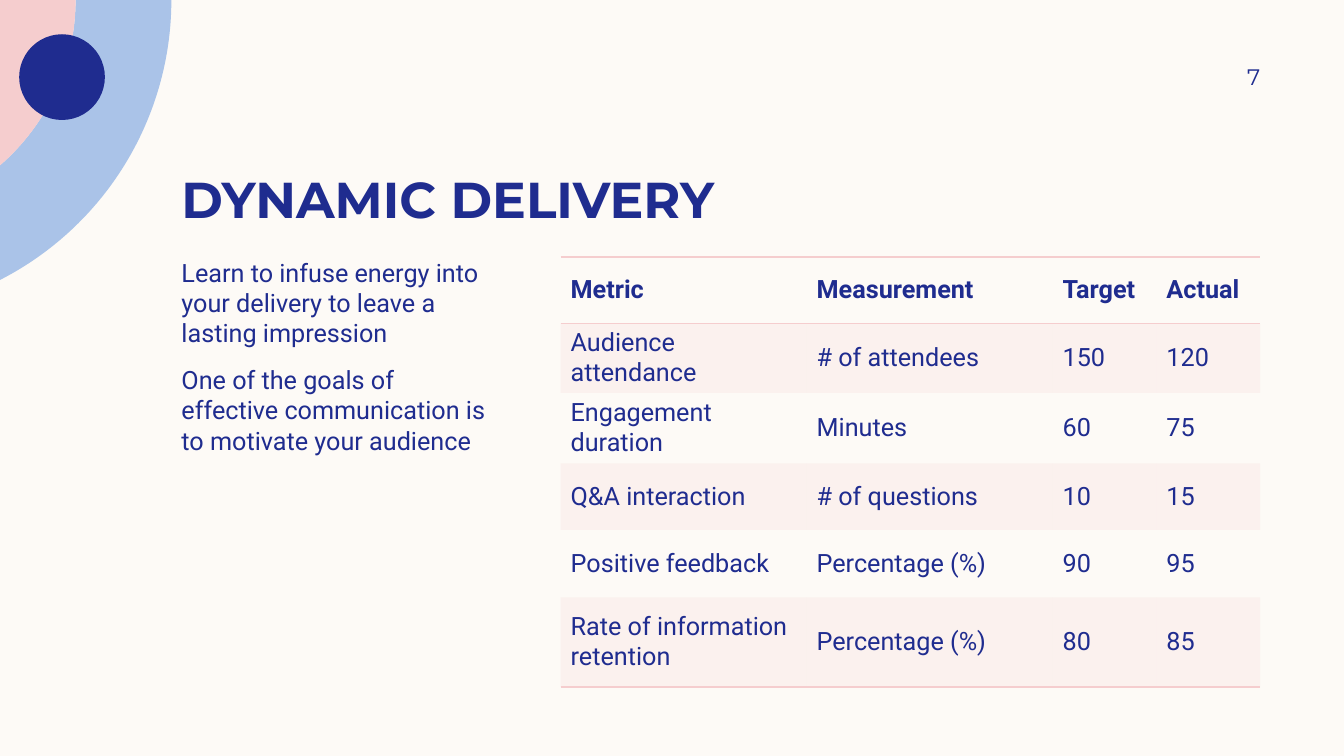
from dataclasses import dataclass
from math import acos, cos, sin, tan

from lxml.etree import SubElement
from pptx import Presentation
from pptx.dml.color import RGBColor
from pptx.enum.shapes import MSO_SHAPE
from pptx.enum.text import MSO_ANCHOR, MSO_AUTO_SIZE, PP_ALIGN
from pptx.oxml import parse_xml
from pptx.oxml.ns import nsdecls, qn
from pptx.util import Inches, Pt


@dataclass(frozen=True)
class Theme:
    cream: str = "FDFAF6"
    navy: str = "1F2C8F"
    blue: str = "AAC3E8"
    pink: str = "F5CDCE"
    heading_font: str = "Montserrat"
    body_font: str = "Roboto"
    title_size: int = 36
    body_size: int = 18
    number_size: int = 16
    band_opacity: int = 20
    rule_width: int = 1


THEME = Theme()
PLAIN_TABLE_STYLE = "{2D5ABB26-0587-4C30-8999-92F81FD0307C}"

TITLE = "DYNAMIC DELIVERY"
MESSAGES = [
    "Learn to infuse energy into your delivery to leave a lasting impression",
    "One of the goals of effective communication is to motivate your audience",
]
METRICS = [
    ("Metric", "Measurement", "Target", "Actual"),
    ("Audience attendance", "# of attendees", "150", "120"),
    ("Engagement duration", "Minutes", "60", "75"),
    ("Q&A interaction", "# of questions", "10", "15"),
    ("Positive feedback", "Percentage (%)", "90", "95"),
    ("Rate of information retention", "Percentage (%)", "80", "85"),
]
COLUMN_WIDTHS = (2.44, 2.44, 1.03, 1.03)
ROW_HEIGHTS = (0.66, 0.66, 0.7, 0.66, 0.67, 0.89)

# The rings share a centre left of the slide, level with its top edge
RING_CENTRE_X = -1.42
INNER_RADIUS, OUTER_RADIUS = 2.17, 3.12


def place(shape, left, top, width, height):
    shape.left, shape.top = Inches(left), Inches(top)
    shape.width, shape.height = Inches(width), Inches(height)


def paint(shape, color):
    shape.shadow.inherit = False
    shape.fill.solid()
    shape.fill.fore_color.rgb = RGBColor.from_string(color)
    shape.line.fill.background()


def style_text(frame, font, size, bold=False, align=PP_ALIGN.LEFT):
    for paragraph in frame.paragraphs:
        paragraph.alignment = align
        for run in paragraph.runs:
            run.font.name = font
            run.font.size = Pt(size)
            run.font.bold = bold
            run.font.color.rgb = RGBColor.from_string(THEME.navy)


def set_frame(frame, anchor, left=0.1, top=0, right=0.1, bottom=0):
    frame.word_wrap = True
    frame.auto_size = MSO_AUTO_SIZE.NONE
    frame.vertical_anchor = anchor
    frame.margin_left, frame.margin_right = Inches(left), Inches(right)
    frame.margin_top, frame.margin_bottom = Inches(top), Inches(bottom)


def ring_arc(radius):
    """Two Bezier curves, as seven points, from the top edge to the left edge."""
    step = acos(-RING_CENTRE_X / radius) / 2
    reach = 4 / 3 * tan(step / 4)

    def point(angle, pull=0):
        return (RING_CENTRE_X + radius * (cos(angle) - pull * sin(angle)),
                radius * (sin(angle) + pull * cos(angle)))

    points = [point(0)]
    for start, end in ((0, step), (step, 2 * step)):
        points += [point(start, reach), point(end, -reach), point(end)]
    return points


def bend(outline, starts):
    """Turn each run of three line segments into one Bezier curve."""
    lines = list(outline.iter(qn("a:lnTo")))
    for start in starts:
        curve = parse_xml(f'<a:cubicBezTo {nsdecls("a")}/>')
        lines[start].addprevious(curve)
        for line in lines[start:start + 3]:
            curve.append(line[0])
            line.getparent().remove(line)


def add_ring(slide, outer_edge, inner_edge, color):
    points = [(Inches(x), Inches(y)) for x, y in outer_edge + inner_edge[::-1]]
    builder = slide.shapes.build_freeform(*points[0])
    builder.add_line_segments(points[1:], close=True)
    ring = builder.convert_to_shape()
    bend(ring._element, [0, 3, *range(len(outer_edge), len(points) - 1, 3)])
    paint(ring, color)


def add_corner_art(slide):
    inner, outer = ring_arc(INNER_RADIUS), ring_arc(OUTER_RADIUS)
    add_ring(slide, outer, inner, THEME.blue)
    add_ring(slide, inner, [(0, 0)], THEME.pink)
    dot = slide.shapes.add_shape(
        MSO_SHAPE.OVAL, Inches(0.19), Inches(0.34), Inches(0.85), Inches(0.85))
    paint(dot, THEME.navy)


def fill_title(title):
    place(title, 1.7, 1.2, 10.8, 1.07)
    title.text_frame.text = TITLE
    set_frame(title.text_frame, MSO_ANCHOR.BOTTOM)
    style_text(title.text_frame, THEME.heading_font, THEME.title_size, bold=True)


def fill_messages(body):
    place(body, 1.7, 2.55, 3.25, 4.05)
    frame = body.text_frame
    frame.text = "\n".join(MESSAGES)
    set_frame(frame, MSO_ANCHOR.TOP)
    style_text(frame, THEME.body_font, THEME.body_size)
    for paragraph in frame.paragraphs:
        paragraph.line_spacing = 1.0
        paragraph.space_before, paragraph.space_after = Pt(0), Pt(12)
        properties = paragraph._p.get_or_add_pPr()
        properties.set("marL", "0")
        properties.set("indent", "0")
        SubElement(properties, qn("a:buNone"))


def add_rules(cell, sides):
    """Draw pink rules on the given sides; borders precede the cell fill."""
    for position, side in enumerate(sides):
        rule = parse_xml(
            f'<a:ln{side} {nsdecls("a")} w="{Pt(THEME.rule_width)}"><a:solidFill>'
            f'<a:srgbClr val="{THEME.pink}"/></a:solidFill></a:ln{side}>')
        cell._tc.get_or_add_tcPr().insert(position, rule)


def fill_cell(cell, banded):
    if not banded:
        cell.fill.background()
        return
    cell.fill.solid()
    cell.fill.fore_color.rgb = RGBColor.from_string(THEME.pink)
    tint = cell._tc.tcPr.find(f".//{qn('a:srgbClr')}")
    SubElement(tint, qn("a:alpha")).set("val", str(THEME.band_opacity * 1000))


def add_metrics_table(slide):
    table = slide.shapes.add_table(
        len(METRICS), len(COLUMN_WIDTHS), Inches(5.56), Inches(2.55),
        Inches(sum(COLUMN_WIDTHS)), Inches(sum(ROW_HEIGHTS))).table
    table.horz_banding = False
    table._tbl.tblPr.find(qn("a:tableStyleId")).text = PLAIN_TABLE_STYLE
    for column, width in zip(table.columns, COLUMN_WIDTHS):
        column.width = Inches(width)
    for row, height in zip(table.rows, ROW_HEIGHTS):
        row.height = Inches(height)
    rules = {0: "TB", len(METRICS) - 1: "B"}
    for row_index, values in enumerate(METRICS):
        for column_index, value in enumerate(values):
            cell = table.cell(row_index, column_index)
            cell.text_frame.text = value
            cell.vertical_anchor = MSO_ANCHOR.MIDDLE
            style_text(cell.text_frame, THEME.body_font, THEME.body_size, bold=row_index == 0)
            fill_cell(cell, banded=row_index % 2 == 1)
            add_rules(cell, rules.get(row_index, ""))


def add_page_number(slide):
    number = slide.shapes.add_textbox(Inches(11.33), Inches(0.5), Inches(1.17), Inches(0.52))
    number.text_frame.text = "7"
    set_frame(number.text_frame, MSO_ANCHOR.MIDDLE, top=0.05, right=0, bottom=0.05)
    style_text(number.text_frame, THEME.heading_font, THEME.number_size, align=PP_ALIGN.RIGHT)


def main():
    presentation = Presentation()
    presentation.slide_width, presentation.slide_height = Inches(13.33), Inches(7.5)
    slide = presentation.slides.add_slide(presentation.slide_layouts[1])
    slide.background.fill.solid()
    slide.background.fill.fore_color.rgb = RGBColor.from_string(THEME.cream)
    # Decoration, then content
    add_corner_art(slide)
    fill_title(slide.shapes.title)
    fill_messages(slide.placeholders[1])
    add_metrics_table(slide)
    add_page_number(slide)
    presentation.save("out.pptx")


if __name__ == "__main__":
    main()
